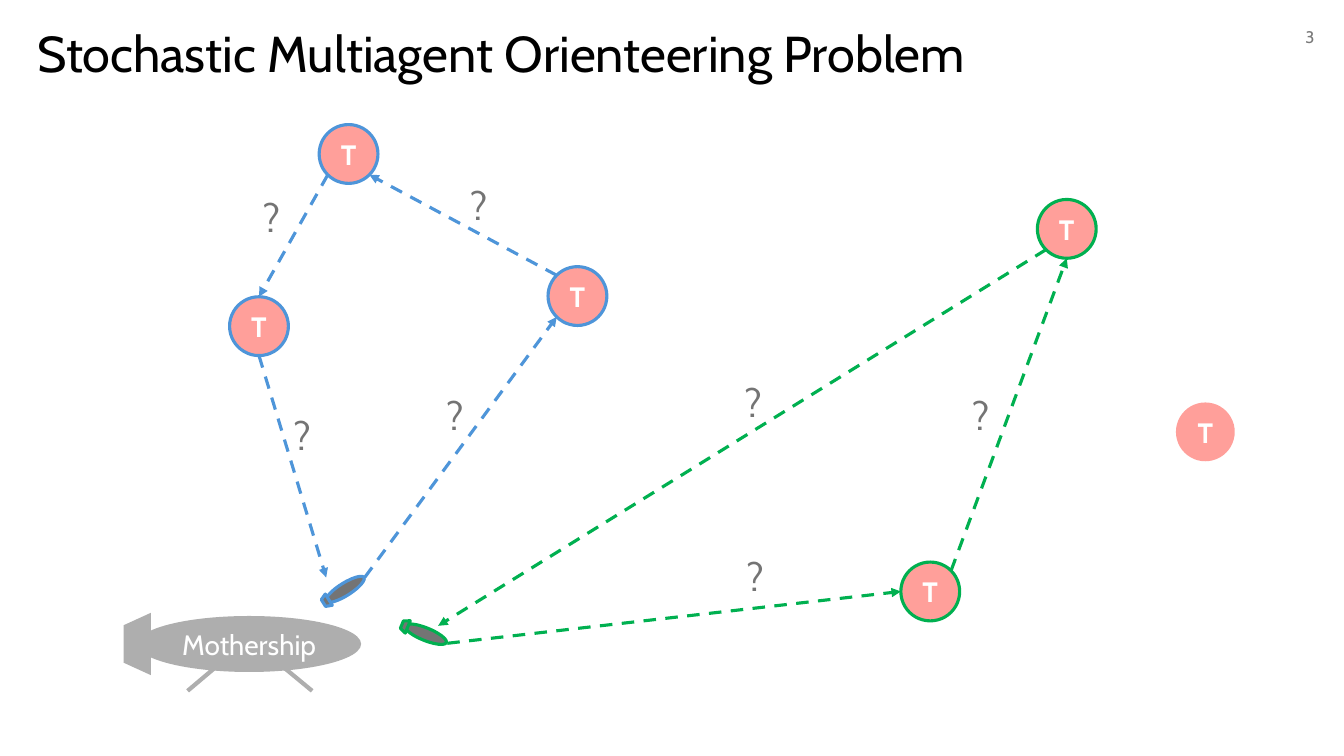
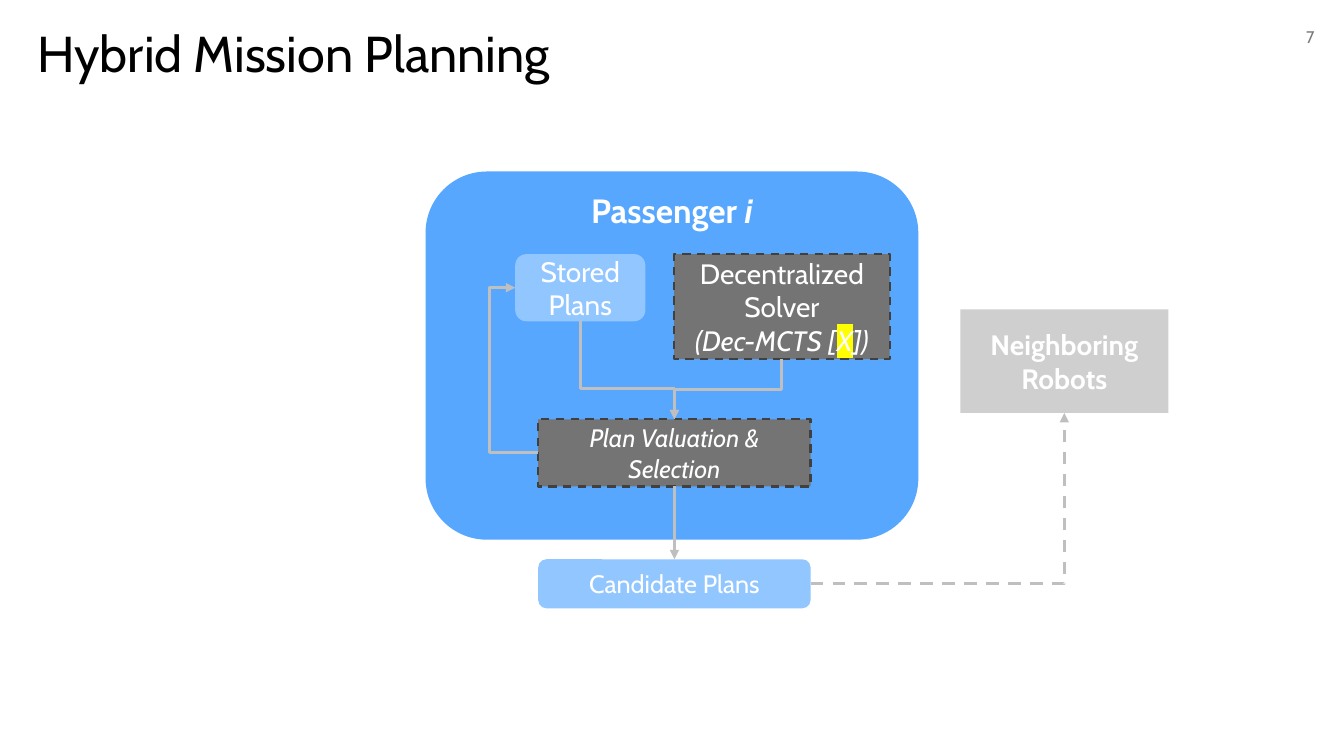
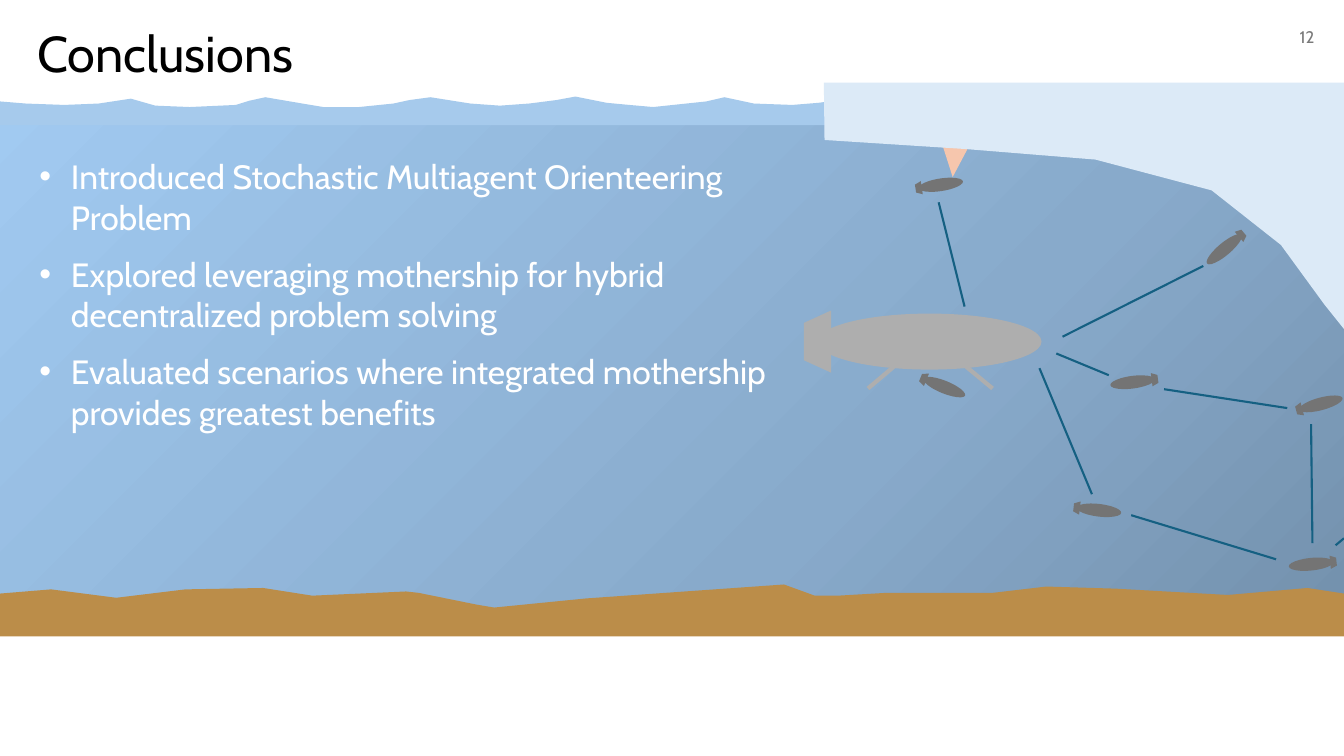
from copy import deepcopy
from math import cos, radians, sin

from lxml import etree
from pptx import Presentation
from pptx.dml.color import RGBColor
from pptx.enum.dml import MSO_LINE as DASH
from pptx.enum.shapes import MSO_CONNECTOR as CONN, MSO_SHAPE as SHAPE
from pptx.enum.text import MSO_ANCHOR as ANCHOR, MSO_AUTO_SIZE as AUTO, PP_ALIGN as ALIGN
from pptx.oxml.ns import qn
from pptx.util import Pt

FONT = "Cabin"
BLACK = RGBColor(0x00, 0x00, 0x00)
WHITE = RGBColor(0xFF, 0xFF, 0xFF)
NUMBER_GRAY = RGBColor(0x79, 0x79, 0x79)
DARK_GRAY = RGBColor(0x74, 0x74, 0x74)
EDGE_GRAY = RGBColor(0x40, 0x40, 0x40)
SHIP_GRAY = RGBColor(0xAE, 0xAE, 0xAE)
ARROW_GRAY = RGBColor(0xBF, 0xBF, 0xBF)
ROBOT_GRAY = RGBColor(0xCF, 0xCF, 0xCF)
TARGET_PINK = RGBColor(0xFF, 0x9F, 0x9A)
TOUR_BLUE = RGBColor(0x4E, 0x95, 0xD9)
TOUR_GREEN = RGBColor(0x00, 0xB0, 0x50)
PASSENGER_BLUE = RGBColor(0x57, 0xA7, 0xFF)
PLANS_BLUE = RGBColor(0x92, 0xC6, 0xFF)
LINK_TEAL = RGBColor(0x15, 0x60, 0x82)
SURFACE_BLUE = RGBColor(0xA6, 0xCA, 0xEC)
ICE = RGBColor(0xDC, 0xEA, 0xF7)
SAND = RGBColor(0xBB, 0x8D, 0x49)
SONAR = RGBColor(0xF6, 0xC6, 0xAD)
WATER_STOPS = [
    (0, RGBColor(0x5F, 0x78, 0x8F)),
    (0.5, RGBColor(0x88, 0xAA, 0xCB)),
    (1, RGBColor(0xA1, 0xCA, 0xF1)),
]

TITLE_ONLY, TITLE_AND_BODY = 5, 1
TARGET_SIZE = 42
SUB_W, SUB_H = 32, 9

SURFACE_LINE = [
    (0, 72.5), (18.5, 74), (46, 75), (70.5, 74), (93.5, 70.5), (111, 75.5), (135.5, 76.5),
    (168.5, 75), (178, 72), (189.5, 69.5), (216, 74), (231, 76.5), (256.5, 76.5), (281, 74),
    (292.5, 71.5), (307.5, 69.5), (336, 74), (357, 75.5), (378, 74), (397.5, 71.5), (411, 69),
    (433.5, 73.5), (449.5, 75), (466.5, 76.5), (504.5, 72.5), (517.5, 69.5), (538.5, 74),
    (566, 75), (584.5, 73.5), (607.5, 70.5), (617, 68), (619, 89.5), (0, 89.5),
]
ICE_LINE = [
    (588.5, 59), (960, 59), (960, 235), (946, 217.5), (915, 175), (865.5, 136),
    (782.5, 114), (690, 106.5), (589, 100),
]
SAND_LINE = [
    (0, 424), (36.5, 421), (83, 427), (132.5, 421), (188, 420), (223, 425.5), (290, 422.5),
    (299, 423.5), (341, 432), (353, 434), (418.5, 427.5), (560, 417.5), (582, 425.5),
    (598.5, 425.5), (633, 423.5), (709, 423.5), (747.5, 419), (797, 420.5), (877, 425),
    (934, 420), (960, 424), (960, 454.5), (0, 454.5),
]


def style_paragraph(p, size, color, align=ALIGN.CENTER, bold=False, italic=False):
    p.alignment = align
    f = p.font
    f.name, f.size, f.bold, f.italic = FONT, Pt(size), bold, italic
    f.color.rgb = color


def write(tf, text, size, color, **style):
    """Fill the first paragraph of a text frame and return it."""
    tf.word_wrap = True
    p = tf.paragraphs[0]
    p.text = text
    style_paragraph(p, size, color, **style)
    return p


def place(sp, x, y, w, h):
    sp.left, sp.top, sp.width, sp.height = Pt(x), Pt(y), Pt(w), Pt(h)


def paint(sp, fill, line=None, width=2.25, dash=None):
    sp.shadow.inherit = False
    if fill is not None:
        sp.fill.solid()
        sp.fill.fore_color.rgb = fill
    if line is None:
        sp.line.fill.background()
    else:
        sp.line.color.rgb = line
        sp.line.width = Pt(width)
        sp.line.dash_style = dash


def add_block(s, kind, x, y, w, h, fill, rotation=0, **outline):
    sp = s.shapes.add_shape(kind, Pt(x), Pt(y), Pt(w), Pt(h))
    sp.rotation = rotation
    paint(sp, fill, **outline)
    return sp


def add_centred(s, kind, cx, cy, w, h, fill, **options):
    return add_block(s, kind, cx - w / 2, cy - h / 2, w, h, fill, **options)


def add_text(s, x, y, w, h, text, size, color, anchor=ANCHOR.TOP, **style):
    tf = s.shapes.add_textbox(Pt(x), Pt(y), Pt(w), Pt(h)).text_frame
    tf.vertical_anchor = anchor
    write(tf, text, size, color, **style)


def add_outline(s, points, fill):
    (x, y), *rest = [(Pt(px), Pt(py)) for px, py in points]
    builder = s.shapes.build_freeform(x, y)
    builder.add_line_segments(rest, close=True)
    paint(builder.convert_to_shape(), fill)


def style_line(c, color, width, dash=None, arrow=False):
    c.line.color.rgb = color
    c.line.width = Pt(width)
    if dash:
        c.line.dash_style = dash
    if arrow:
        etree.SubElement(c.line._get_or_add_ln(), qn("a:tailEnd"), type="triangle")
    etree.SubElement(c.element.spPr, qn("a:effectLst"))


def add_line(s, start, end, color, width, **style):
    c = s.shapes.add_connector(CONN.STRAIGHT, *(Pt(v) for v in (*start, *end)))
    style_line(c, color, width, **style)


def join(s, kind, a, site_a, b, site_b, dash=None):
    """Draw a gray arrow between two block sides."""
    c = s.shapes.add_connector(kind, 0, 0, 0, 0)
    c.begin_connect(a, site_a)
    c.end_connect(b, site_b)
    style_line(c, ARROW_GRAY, 2.25, dash=dash, arrow=True)
    return c


def turn_elbow(c, turn, bend=0.5):
    """Rotate an elbow's frame while its two ends stay in place."""
    cx, cy = (c.begin_x + c.end_x) / 2, (c.begin_y + c.end_y) / 2
    dx, dy = c.begin_x - cx, c.begin_y - cy
    co, si = cos(radians(turn)), sin(radians(turn))
    u, v = dx * co + dy * si, dy * co - dx * si
    c.begin_x, c.begin_y = round(cx + u), round(cy + v)
    c.end_x, c.end_y = round(cx - u), round(cy - v)
    c.element.spPr.get_or_add_xfrm().set("rot", str(turn * 60000))
    guides = c.element.spPr.find(qn("a:prstGeom")).find(qn("a:avLst"))
    etree.SubElement(guides, qn("a:gd"), name="adj1", fmla=f"val {round(bend * 100000)}")


def new_slide(prs, layout, title, number):
    s = prs.slides.add_slide(prs.slide_layouts[layout])
    place(s.shapes.title, 19.5, 12, 818.5, 51)
    tf = s.shapes.title.text_frame
    tf.auto_size = AUTO.NONE
    tf.vertical_anchor = ANCHOR.TOP
    write(tf, title, 36, BLACK, align=ALIGN.LEFT)
    add_text(s, 730, 12, 216, 29, number, 12, NUMBER_GRAY,
             anchor=ANCHOR.MIDDLE, align=ALIGN.RIGHT)
    return s


def add_mothership(s, x, y, label=""):
    body = add_block(s, SHAPE.OVAL, x, y, 160, 40, SHIP_GRAY)
    if label:
        write(body.text_frame, label, 20, WHITE)
    add_centred(s, SHAPE.FLOWCHART_MANUAL_OPERATION, x, y + 20, 44.5, 19.5,
                SHIP_GRAY, rotation=90)
    for hip, foot in ((58.5, 36), (102, 125)):
        add_line(s, (x + hip, y + 34.5), (x + foot, y + 53.5), SHIP_GRAY, 3)


def add_sub(s, cx, cy, heading, line=None):
    """Draw a small vehicle; heading is in degrees clockwise from right."""
    a = radians(heading)
    add_centred(s, SHAPE.OVAL, cx, cy, SUB_W, SUB_H, DARK_GRAY, rotation=heading, line=line)
    add_centred(s, SHAPE.FLOWCHART_MANUAL_OPERATION, cx - SUB_W / 2 * cos(a),
                cy - SUB_W / 2 * sin(a), 9.5, 4.5, DARK_GRAY, rotation=heading + 90, line=line)


def add_target(s, cx, cy, line=None):
    sp = add_centred(s, SHAPE.OVAL, cx, cy, TARGET_SIZE, TARGET_SIZE, TARGET_PINK, line=line)
    write(sp.text_frame, "T", 20, WHITE, bold=True)


def rim(cx, cy, angle):
    a, r = radians(angle), TARGET_SIZE / 2
    return cx + r * cos(a), cy + r * sin(a)


def add_tour(s, color, sub, start, end, stops):
    """Draw a round trip; each stop is a centre with arrival and departure angles."""
    add_sub(s, *sub, line=color)
    here = start
    for cx, cy, arrive, leave in stops:
        add_target(s, cx, cy, line=color)
        add_line(s, here, rim(cx, cy, arrive), color, 2.25, dash=DASH.DASH, arrow=True)
        here = rim(cx, cy, leave)
    add_line(s, here, end, color, 2.25, dash=DASH.DASH, arrow=True)


def orienteering_slide(prs):
    s = new_slide(prs, TITLE_ONLY, "Stochastic Multiagent Orienteering Problem", "3")
    add_mothership(s, 98, 440, "Mothership")
    add_tour(s, TOUR_BLUE, (246.5, 421, -32.2), (260.5, 412.5), (233, 412.5),
             [(412.5, 211.5, 135, 225), (249, 110, 45, 135), (185, 233, 270, 90)])
    add_tour(s, TOUR_GREEN, (304, 453, 22.1), (319.5, 459.5), (313, 447),
             [(664.5, 422.5, 180, 315), (762, 163.5, 90, 135)])
    add_target(s, 861, 308.5)
    for x, y in ((517, 266.5), (518.5, 391), (679.5, 276), (321, 126),
                 (173, 134.5), (304, 276), (195, 290)):
        add_text(s, x, y, 42, 41, "?", 28, DARK_GRAY)


def add_planner(s, x, y):
    """Draw the passenger's planning loop and return its output block."""
    dashed = dict(line=EDGE_GRAY, width=1.5, dash=DASH.DASH)
    passenger = add_block(s, SHAPE.ROUNDED_RECTANGLE, x, y, 352, 263, PASSENGER_BLUE)
    tf = passenger.text_frame
    tf.vertical_anchor = ANCHOR.TOP
    tf.margin_top = 0
    r = write(tf, "Passenger ", 24, WHITE, bold=True).add_run()
    r.text = "i"
    r.font.italic = True

    selection = add_block(s, SHAPE.RECTANGLE, x + 80.5, y + 177, 194.5, 48, DARK_GRAY, **dashed)
    write(selection.text_frame, "Plan Valuation & Selection", 18, WHITE, italic=True)
    stored = add_block(s, SHAPE.ROUNDED_RECTANGLE, x + 64, y + 59, 93, 48, PLANS_BLUE)
    write(stored.text_frame, "Stored Plans", 20, WHITE)
    candidates = add_block(s, SHAPE.ROUNDED_RECTANGLE, x + 80.5, y + 277, 194.5, 35, PLANS_BLUE)
    write(candidates.text_frame, "Candidate Plans", 18, WHITE)

    solver = add_block(s, SHAPE.RECTANGLE, x + 177.5, y + 59, 154, 75, DARK_GRAY, **dashed)
    write(solver.text_frame, "Decentralized Solver", 20, WHITE)
    p = solver.text_frame.add_paragraph()
    style_paragraph(p, 20, WHITE, italic=True)
    for text in ("(Dec-MCTS [", "X", "])"):
        r = p.add_run()
        r.text = text
        if text == "X":
            mark = etree.SubElement(r.font._element, qn("a:highlight"))
            etree.SubElement(mark, qn("a:srgbClr"), val="FFFF00")

    turn_elbow(join(s, CONN.ELBOW, stored, 2, selection, 0), 270, 0.69)
    turn_elbow(join(s, CONN.ELBOW, solver, 2, selection, 0), 90)
    turn_elbow(join(s, CONN.ELBOW, selection, 1, stored, 1), 180, 2.11)
    join(s, CONN.STRAIGHT, selection, 2, candidates, 0)
    return candidates


def planning_slide(prs):
    s = new_slide(prs, TITLE_ONLY, "Hybrid Mission Planning", "7")
    candidates = add_planner(s, 304, 122.5)
    robots = add_block(s, SHAPE.RECTANGLE, 686, 221, 148.5, 74, ROBOT_GRAY)
    write(robots.text_frame, "Neighboring Robots", 20, WHITE, bold=True)
    c = join(s, CONN.ELBOW, candidates, 3, robots, 2, dash=DASH.DASH)
    c.element.spPr.find(qn("a:prstGeom")).set("prst", "bentConnector2")


def add_water(s, x, y, w, h):
    sp = add_block(s, SHAPE.RECTANGLE, x, y, w, h, None)
    sp.fill.gradient()
    sp.fill.gradient_angle = 135
    stops = sp.element.spPr.find(qn("a:gradFill")).find(qn("a:gsLst"))
    stops.insert(1, deepcopy(stops[0]))
    for stop, (position, color) in zip(sp.fill.gradient_stops, WATER_STOPS):
        stop.position = position
        stop.color.rgb = color


def add_seascape(s):
    add_water(s, -17, 88, 1405.5, 350.5)
    add_block(s, SHAPE.ISOSCELES_TRIANGLE, 667.5, 92, 29, 34.5, SONAR, rotation=185.1)
    add_outline(s, SURFACE_LINE, SURFACE_BLUE)
    add_outline(s, ICE_LINE, ICE)
    add_outline(s, SAND_LINE, SAND)
    for sub in ((674.5, 276.5, 22.1), (672, 132, -8.7), (943.5, 288.5, -15),
                (936.5, 403, 174.2), (809, 273, 172.5), (785, 364.5, 6.7),
                (874.5, 178, 140.1)):
        add_sub(s, *sub)
    for start, end in (((689, 219), (670.5, 144.5)), ((759, 240.5), (859.5, 190)),
                       ((754.5, 252.5), (792, 268)), ((742.5, 263), (780, 353)),
                       ((808, 368), (911.5, 399.5)), ((831.5, 278), (919.5, 291.5)),
                       ((960, 384.5), (954, 389.5)), ((936.5, 303), (937.5, 388))):
        add_line(s, start, end, LINK_TEAL, 1.5)
    add_mothership(s, 584, 224)


def fill_bullets(body, items):
    tf = body.text_frame
    tf.auto_size = AUTO.NONE
    tf.word_wrap = True
    for i, item in enumerate(items):
        p = tf.add_paragraph() if i else tf.paragraphs[0]
        p.text = item
        pPr = p._p.get_or_add_pPr()
        pPr.set("marL", str(Pt(22.5)))
        pPr.set("indent", str(Pt(-22.5)))
        p.space_before, p.space_after = Pt(0), Pt(12)
        style_paragraph(p, 24, WHITE, align=ALIGN.LEFT)


def conclusions_slide(prs):
    s = new_slide(prs, TITLE_AND_BODY, "Conclusions", "12")
    add_seascape(s)
    body = s.placeholders[1]
    place(body, 21, 108, 542, 206)
    fill_bullets(body, [
        "Introduced Stochastic Multiagent Orienteering Problem",
        "Explored leveraging mothership for hybrid decentralized problem solving",
        "Evaluated scenarios where integrated mothership provides greatest benefits",
    ])
    s.shapes._spTree.append(body.element)  # text in front of the water


def main():
    prs = Presentation()
    prs.slide_width, prs.slide_height = Pt(960), Pt(540)
    orienteering_slide(prs)
    planning_slide(prs)
    conclusions_slide(prs)
    prs.save("out.pptx")


if __name__ == "__main__":
    main()
